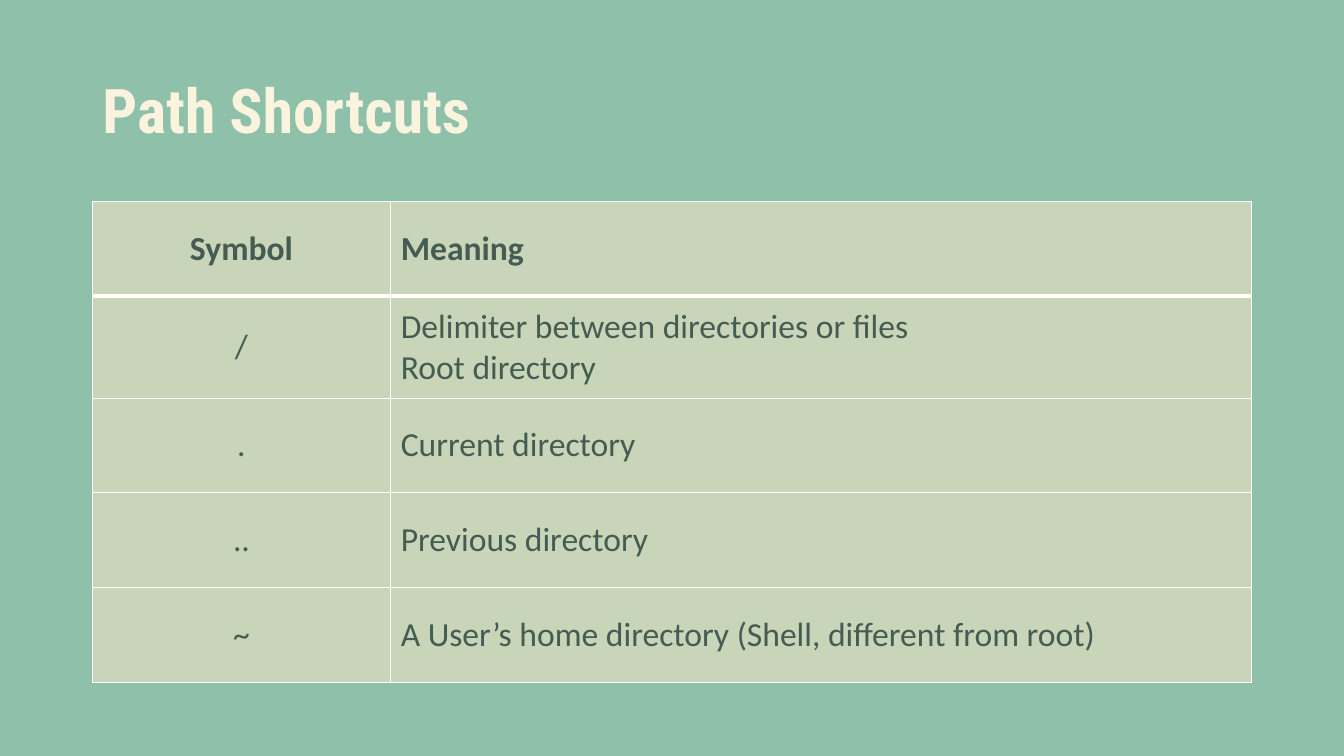
import pptx
import pptx.util
import pptx.dml.color
import pptx.enum.shapes
import pptx.enum.text
import pptx.oxml
import pptx.oxml.ns

TITLE = "Path Shortcuts"
HEADER = ("Symbol", ["Meaning"])
SHORTCUTS = [
    ("/", ["Delimiter between directories or files", "Root directory"]),
    (".", ["Current directory"]),
    ("..", ["Previous directory"]),
    ("~", ["A User’s home directory (Shell, different from root)"]),
]

GREEN, SAGE, CREAM, DARK, WHITE = "8FC0A9", "C8D5B9", "FAF3DD", "455C52", "FFFFFF"
WIDTH, HEIGHT = 13.33, 7.5
CONTENT_W = 11.5
LEFT, TABLE_TOP = (WIDTH - CONTENT_W) / 2, 2
COLUMNS = (2.96, CONTENT_W - 2.96)
ROW_H, TWO_LINE_ROW_H = 0.94, 1.01

Inches, Pt = pptx.util.Inches, pptx.util.Pt
PP_ALIGN = pptx.enum.text.PP_ALIGN
MIDDLE = pptx.enum.text.MSO_ANCHOR.MIDDLE


def paint(fill, color):
    fill.solid()
    fill.fore_color.rgb = pptx.dml.color.RGBColor.from_string(color)


def add_run(p, text, size, font, color, bold):
    r = p.add_run()
    r.text = text
    r.font.size, r.font.name, r.font.bold = Pt(size), font, bold
    paint(r.font.fill, color)


def set_borders(cell, widths):
    tc_pr = cell._tc.get_or_add_tcPr()
    for side, width in widths.items():
        tc_pr.append(pptx.oxml.parse_xml(
            f'<a:ln{side} {pptx.oxml.ns.nsdecls("a")} w="{Pt(width)}">'
            f'<a:solidFill><a:srgbClr val="{WHITE}"/></a:solidFill></a:ln{side}>'))


def fill_cell(cell, lines, align, bold, top, bottom):
    set_borders(cell, {"L": 1, "R": 1, "T": top, "B": bottom})
    paint(cell.fill, SAGE)
    cell.vertical_anchor = MIDDLE
    tf = cell.text_frame
    for i, line in enumerate(lines):
        p = tf.add_paragraph() if i else tf.paragraphs[0]
        p.alignment = align
        add_run(p, line, 24, "Calibri", DARK, bold)


# Slide and green panel behind everything
prs = pptx.Presentation()
prs.slide_width, prs.slide_height = Inches(WIDTH), Inches(HEIGHT)
s = prs.slides.add_slide(prs.slide_layouts[5])
panel = s.shapes.add_shape(pptx.enum.shapes.MSO_SHAPE.RECTANGLE, 0, 0,
                           prs.slide_width, prs.slide_height)
panel.shadow.inherit = False
panel.line.fill.background()
paint(panel.fill, GREEN)
s.shapes.title._element.addprevious(panel._element)

# Title
title = s.shapes.title
title.left, title.top = Inches(LEFT), Inches(0.4)
title.width, title.height = Inches(CONTENT_W), Inches(1.45)
tf = title.text_frame
tf.vertical_anchor = MIDDLE
p = tf.paragraphs[0]
p.alignment, p.line_spacing = PP_ALIGN.LEFT, 0.9
add_run(p, TITLE, 44, "Roboto Condensed", CREAM, True)

# Table of shortcuts
rows = [HEADER] + SHORTCUTS
heights = [TWO_LINE_ROW_H if len(meaning) > 1 else ROW_H for _, meaning in rows]
table = s.shapes.add_table(len(rows), len(COLUMNS), Inches(LEFT), Inches(TABLE_TOP),
                           Inches(CONTENT_W), Inches(sum(heights))).table
for column, width in zip(table.columns, COLUMNS):
    column.width = Inches(width)
for i, (symbol, meaning) in enumerate(rows):
    table.rows[i].height = Inches(heights[i])
    is_header = i == 0
    top, bottom = 3 if i == 1 else 1, 3 if is_header else 1
    fill_cell(table.cell(i, 0), [symbol], PP_ALIGN.CENTER, is_header, top, bottom)
    fill_cell(table.cell(i, 1), meaning, PP_ALIGN.LEFT, is_header, top, bottom)

prs.save("out.pptx")
